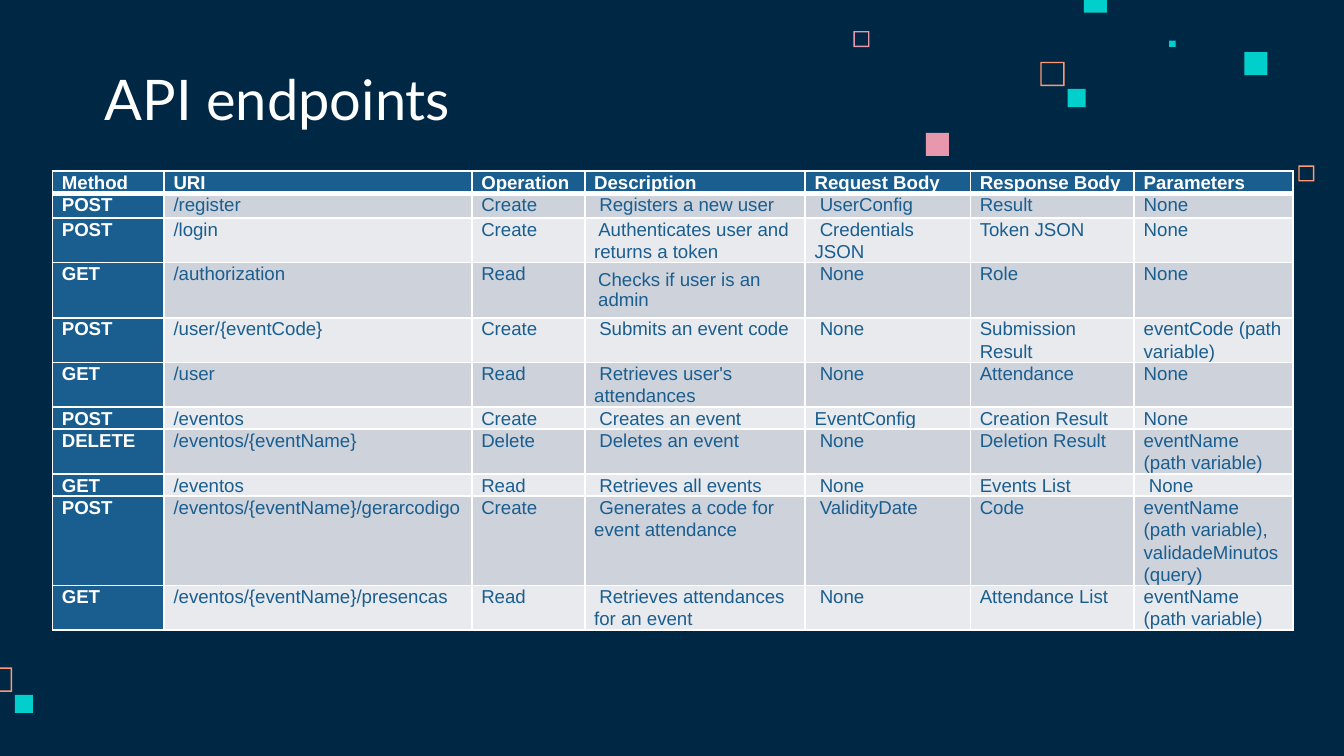
from lxml import etree
from pptx import Presentation
from pptx.dml.color import RGBColor
from pptx.enum.shapes import MSO_SHAPE
from pptx.enum.text import MSO_ANCHOR, MSO_AUTO_SIZE, PP_ALIGN
from pptx.oxml.ns import qn
from pptx.util import Pt

SQUARE = MSO_SHAPE.RECTANGLE
FRAME = MSO_SHAPE.FRAME
TOP, MIDDLE, BOTTOM = MSO_ANCHOR.TOP, MSO_ANCHOR.MIDDLE, MSO_ANCHOR.BOTTOM
LEFT = PP_ALIGN.LEFT
NO_AUTOFIT = MSO_AUTO_SIZE.NONE
TITLE_ONLY = 5

COLORS = {
    "navy": "002845",
    "blue": "1A5E8F",
    "white": "FFFFFF",
    "gray": "CDD2DB",
    "light": "E8EAEE",
    "orange": "FF9973",
    "pink": "E898AC",
    "teal": "00CFCC",
}

# Decorative squares: left, top, side, color
OUTLINED_SQUARES = [
    (695.5, 88.6, 8.6, "orange"),
    (457.2, 16.6, 8.6, "pink"),
    (557.3, 33.1, 13, "orange"),
    (-6.5, 357.6, 13, "orange"),
]
SOLID_SQUARES = [
    (626.4, 21.8, 3.4, "teal"),
    (580.6, -5.6, 12.4, "teal"),
    (666.6, 27.9, 12.4, "teal"),
    (572, 47.7, 9.7, "teal"),
    (496, 71.2, 12.4, "pink"),
    (8, 372.3, 9.7, "teal"),
]

COLUMN_WIDTHS = [59.8, 164.9, 60.5, 118.1, 88.5, 87.8, 85]
ROW_HEIGHTS = [12.3, 13, 23.9, 29.5, 23.9, 23.9, 11.9, 23.9, 11.9, 47.7, 23.9]
ENDPOINTS = [
    ["Method", "URI", "Operation", "Description", "Request Body",
     "Response Body", "Parameters"],
    ["POST", "/register", "Create", " Registers a new user", " UserConfig",
     "Result", "None"],
    ["POST", "/login", "Create", " Authenticates user and returns a token",
     " Credentials JSON", "Token JSON", "None"],
    ["GET", "/authorization", "Read", "Checks if user is an admin", " None",
     "Role", "None"],
    ["POST", "/user/{eventCode}", "Create", " Submits an event code", " None",
     "Submission Result", "eventCode (path variable)"],
    ["GET", "/user", "Read", " Retrieves user's attendances", " None",
     "Attendance", "None"],
    ["POST", "/eventos", "Create", " Creates an event", "EventConfig",
     "Creation Result", "None"],
    ["DELETE", "/eventos/{eventName}", "Delete", " Deletes an event", " None",
     "Deletion Result", "eventName (path variable)"],
    ["GET", "/eventos", "Read", " Retrieves all events", " None",
     "Events List", " None"],
    ["POST", "/eventos/{eventName}/gerarcodigo", "Create",
     " Generates a code for event attendance", " ValidityDate", "Code",
     "eventName (path variable), validadeMinutos (query)"],
    ["GET", "/eventos/{eventName}/presencas", "Read",
     " Retrieves attendances for an event", " None", "Attendance List",
     "eventName (path variable)"],
]
ROOMY_CELL = (3, 3)


class SlideBuilder:
    title_font = "Lato"
    body_font = "Arial"
    frame_line = 0.75

    def __init__(self, slide):
        self.slide = slide

    def color(self, name):
        return RGBColor.from_string(COLORS[name])

    def paint(self, fill, name):
        fill.solid()
        fill.fore_color.rgb = self.color(name)

    def style(self, paragraph, font_name, size, color, bold=False):
        paragraph.alignment = LEFT
        font = paragraph.font
        font.name, font.size, font.bold = font_name, Pt(size), bold
        font.color.rgb = self.color(color)

    def background(self, color):
        self.paint(self.slide.background.fill, color)

    def square(self, kind, left, top, side, color):
        shape = self.slide.shapes.add_shape(
            kind, Pt(left), Pt(top), Pt(side), Pt(side))
        shape.shadow.inherit = False
        shape.line.fill.background()
        self.paint(shape.fill, color)
        if kind == FRAME:
            shape.adjustments[0] = self.frame_line / side

    def title(self, text, left, top, width, height):
        shape = self.slide.shapes.title
        shape.left, shape.top = Pt(left), Pt(top)
        shape.width, shape.height = Pt(width), Pt(height)
        frame = shape.text_frame
        frame.text = text
        frame.auto_size = NO_AUTOFIT
        frame.word_wrap = True
        frame.vertical_anchor = BOTTOM
        frame.margin_left = frame.margin_right = Pt(7.2)
        frame.margin_top = frame.margin_bottom = Pt(7.2)
        paragraph = frame.paragraphs[0]
        paragraph.line_spacing = 1.0
        self.style(paragraph, self.title_font, 30, "white")

    def borders(self, cell, bottom_width):
        properties = cell._tc.get_or_add_tcPr()
        widths = {"a:lnL": 1, "a:lnR": 1, "a:lnT": 1, "a:lnB": bottom_width}
        # Border lines must come before the cell's fill
        for position, (tag, width) in enumerate(widths.items()):
            line = etree.Element(qn(tag), w=str(Pt(width)))
            fill = etree.SubElement(line, qn("a:solidFill"))
            etree.SubElement(fill, qn("a:srgbClr"), val=COLORS["white"])
            properties.insert(position, line)

    def cell(self, cell, text, fill, color, bold, roomy, bottom_width):
        cell.text = text
        self.paint(cell.fill, fill)
        self.borders(cell, bottom_width)
        cell.vertical_anchor = MIDDLE if roomy else TOP
        cell.margin_left = cell.margin_right = Pt(7.2 if roomy else 5.1)
        cell.margin_top = cell.margin_bottom = Pt(3.6 if roomy else 0)
        paragraph = cell.text_frame.paragraphs[0]
        if not roomy:
            paragraph.line_spacing = 1.07
            paragraph.space_after = Pt(8)
        self.style(paragraph, self.body_font, 10, color, bold)

    def table(self, rows, left, top, column_widths, row_heights):
        table = self.slide.shapes.add_table(
            len(rows), len(column_widths), Pt(left), Pt(top),
            Pt(sum(column_widths)), Pt(sum(row_heights))).table
        table.first_col = True
        for column, width in zip(table.columns, column_widths):
            column.width = Pt(width)
        for row, height in zip(table.rows, row_heights):
            row.height = Pt(height)
        for row_index, row in enumerate(rows):
            band = "gray" if row_index % 2 else "light"
            for column_index, text in enumerate(row):
                heading = row_index == 0 or column_index == 0
                self.cell(
                    table.cell(row_index, column_index), text,
                    fill="blue" if heading else band,
                    color="white" if heading else "blue",
                    bold=heading,
                    roomy=(row_index, column_index) == ROOMY_CELL,
                    bottom_width=3 if row_index == 0 else 1)


def main():
    presentation = Presentation()
    presentation.slide_width, presentation.slide_height = Pt(720), Pt(405)
    layout = presentation.slide_layouts[TITLE_ONLY]
    builder = SlideBuilder(presentation.slides.add_slide(layout))

    # Background and decoration
    builder.background("navy")
    for square in OUTLINED_SQUARES:
        builder.square(FRAME, *square)
    for square in SOLID_SQUARES:
        builder.square(SQUARE, *square)

    # Title and endpoint table
    builder.title("API endpoints", 49, 32.4, 372.2, 45.4)
    builder.table(ENDPOINTS, 28.1, 91.5, COLUMN_WIDTHS, ROW_HEIGHTS)

    presentation.save("out.pptx")


if __name__ == "__main__":
    main()
